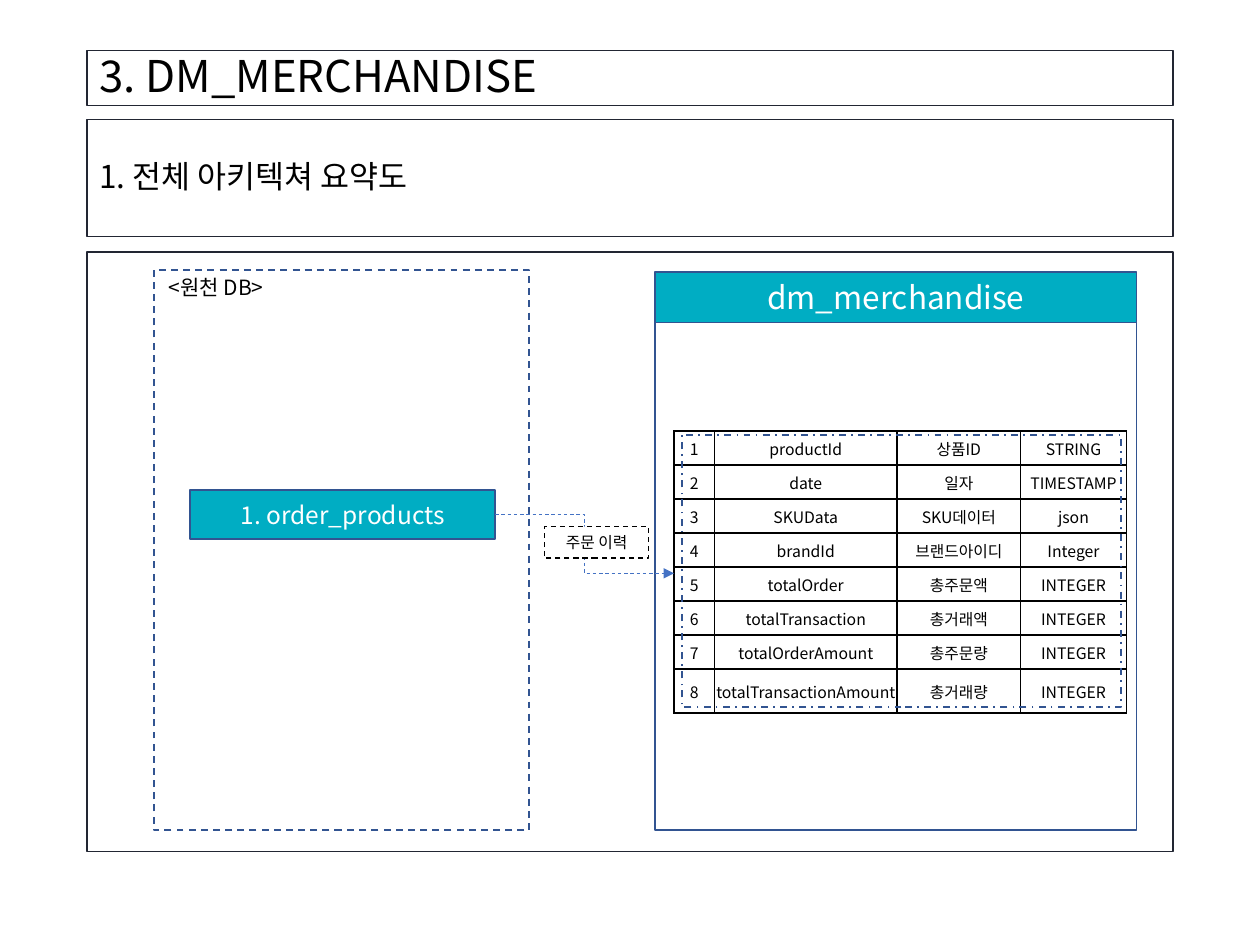
from lxml import etree
from pptx import Presentation
from pptx import util as u
from pptx.dml.color import RGBColor
from pptx.enum import dml, shapes, text
from pptx.oxml.ns import qn

FONT = "Noto Sans CJK KR"
COLORS = {"frame": "222633", "teal": "00ADC3", "navy": "325491",
          "arrow": "4472C4", "black": "000000", "white": "FFFFFF"}
DASH = dml.MSO_LINE.DASH
CENTER, LEFT = text.PP_ALIGN.CENTER, text.PP_ALIGN.LEFT

# Shared edges of the layout, in inches
MARGIN, CONTENT_WIDTH = 0.69, 8.62
MART_LEFT, MART_WIDTH, MART_TOP, HEADER_HEIGHT = 5.2, 3.82, 2.16, 0.4
PANEL_BOTTOM = 6.59
SOURCE_LEFT, SOURCE_TOP = 1.22, 2.14

TABLE_LEFT, TABLE_TOP = 5.35, 3.42
COLUMN_WIDTHS = [0.32, 1.45, 0.98, 0.84]
ROW_HEIGHT, LAST_ROW_HEIGHT = 0.27, 0.35
FIELDS = [
    ("productId", "상품ID", "STRING"),
    ("date", "일자", "TIMESTAMP"),
    ("SKUData", "SKU데이터", "json"),
    ("brandId", "브랜드아이디", "Integer"),
    ("totalOrder", "총주문액", "INTEGER"),
    ("totalTransaction", "총거래액", "INTEGER"),
    ("totalOrderAmount", "총주문량", "INTEGER"),
    ("totalTransactionAmount", "총거래량", "INTEGER"),
]


def rgb(name):
    return RGBColor.from_string(COLORS[name])


def inches(*lengths):
    return [u.Inches(length) for length in lengths]


def write(frame, words, size, color="black", align=CENTER, spacing=None):
    paragraph = frame.paragraphs[0]
    paragraph.alignment = align
    if spacing:
        paragraph.line_spacing = spacing
    run = paragraph.add_run()
    run.text = words
    run.font.size = u.Pt(size)
    run.font.name = FONT
    run.font.color.rgb = rgb(color)
    east_asian = etree.SubElement(run._r.get_or_add_rPr(), qn("a:ea"))
    east_asian.set("typeface", FONT)


def style_line(line, color, width, dash=None):
    line.color.rgb = rgb(color)
    line.width = u.Pt(width)
    if dash:
        line.dash_style = dash


def add_box(slide, box, line, width=1, dash=None, fill=None):
    shape = slide.shapes.add_shape(shapes.MSO_SHAPE.RECTANGLE, *inches(*box))
    shape.shadow.inherit = False
    if fill:
        shape.fill.solid()
        shape.fill.fore_color.rgb = rgb(fill)
    else:
        shape.fill.background()
    style_line(shape.line, line, width, dash)
    shape.text_frame.vertical_anchor = text.MSO_ANCHOR.MIDDLE
    return shape


def format_title(slide, words):
    title = slide.shapes.title
    title.left, title.top, title.width, title.height = inches(
        MARGIN, 0.4, CONTENT_WIDTH, 0.44)
    style_line(title.line, "frame", 0.75)
    title.text_frame.auto_size = text.MSO_AUTO_SIZE.NONE
    title.text_frame.vertical_anchor = text.MSO_ANCHOR.MIDDLE
    write(title.text_frame, words, 25, align=LEFT, spacing=0.9)


def add_cell_borders(cell):
    properties = cell._tc.get_or_add_tcPr()
    for index, side in enumerate(("lnL", "lnR", "lnT", "lnB")):
        border = etree.Element(qn(f"a:{side}"), w=str(u.Pt(1)))
        fill = etree.SubElement(border, qn("a:solidFill"))
        etree.SubElement(fill, qn("a:srgbClr"), val=COLORS["black"])
        properties.insert(index, border)


def add_field_table(slide):
    heights = [ROW_HEIGHT] * (len(FIELDS) - 1) + [LAST_ROW_HEIGHT]
    table = slide.shapes.add_table(
        len(FIELDS), len(COLUMN_WIDTHS),
        *inches(TABLE_LEFT, TABLE_TOP, sum(COLUMN_WIDTHS), sum(heights))).table
    table.first_row = table.horz_banding = False
    for column, width in zip(table.columns, COLUMN_WIDTHS):
        column.width = u.Inches(width)
    for number, (row, height, field) in enumerate(
            zip(table.rows, heights, FIELDS), start=1):
        row.height = u.Inches(height)
        for cell, words in zip(row.cells, (str(number), *field)):
            cell.fill.background()
            cell.vertical_anchor = text.MSO_ANCHOR.MIDDLE
            cell.margin_left = cell.margin_right = cell.margin_top = u.Inches(0.01)
            cell.margin_bottom = 0
            write(cell.text_frame, words, 9)
            add_cell_borders(cell)


def add_arrow(slide, source, end):
    """Draw a dashed elbow arrow from the right side of source to end."""
    connector = slide.shapes.add_connector(
        shapes.MSO_CONNECTOR.ELBOW, source.left + source.width,
        source.top + source.height // 2, *inches(*end))
    connector.begin_connect(source, 3)
    style_line(connector.line, "arrow", 0.5, DASH)
    etree.SubElement(connector.line._get_or_add_ln(), qn("a:tailEnd"),
                     type="triangle")
    etree.SubElement(connector._element.spPr, qn("a:effectLst"))


def add_source_panel(slide):
    add_box(slide, (SOURCE_LEFT, SOURCE_TOP, 2.98, PANEL_BOTTOM - SOURCE_TOP),
            "navy", dash=DASH)
    label = slide.shapes.add_textbox(*inches(SOURCE_LEFT, 2.13, 0.99, 0.3))
    label.text_frame.word_wrap = True
    write(label.text_frame, "<원천 DB>", 12)


def add_mart_panel(slide):
    header = add_box(slide, (MART_LEFT, MART_TOP, MART_WIDTH, HEADER_HEIGHT),
                     "navy", fill="teal")
    write(header.text_frame, "dm_merchandise", 18, "white")
    body_top = MART_TOP + HEADER_HEIGHT
    add_box(slide, (MART_LEFT, body_top, MART_WIDTH, PANEL_BOTTOM - body_top),
            "navy")
    add_box(slide, (5.41, 3.45, 3.49, 2.16), "navy",
            dash=dml.MSO_LINE.DASH_DOT)


def main():
    presentation = Presentation()
    presentation.slide_width, presentation.slide_height = inches(10, 7.5)
    slide = presentation.slides.add_slide(presentation.slide_layouts[5])

    format_title(slide, "3. DM_MERCHANDISE")
    add_box(slide, (MARGIN, 2, CONTENT_WIDTH, 4.76), "frame", 0.75)
    subtitle = add_box(slide, (MARGIN, 0.95, CONTENT_WIDTH, 0.93), "frame", 0.75)
    write(subtitle.text_frame, "1. 전체 아키텍쳐 요약도", 18, align=LEFT, spacing=0.9)

    add_field_table(slide)
    add_mart_panel(slide)
    orders = add_box(slide, (1.51, 3.89, 2.42, 0.39), "navy", fill="teal")
    write(orders.text_frame, "1. order_products", 14, "white")
    add_arrow(slide, orders, (TABLE_LEFT, 4.55))
    add_source_panel(slide)
    history = add_box(slide, (4.32, 4.18, 0.83, 0.25), "black", 0.75, DASH, "white")
    write(history.text_frame, "주문 이력", 9)

    presentation.save("out.pptx")


if __name__ == "__main__":
    main()
